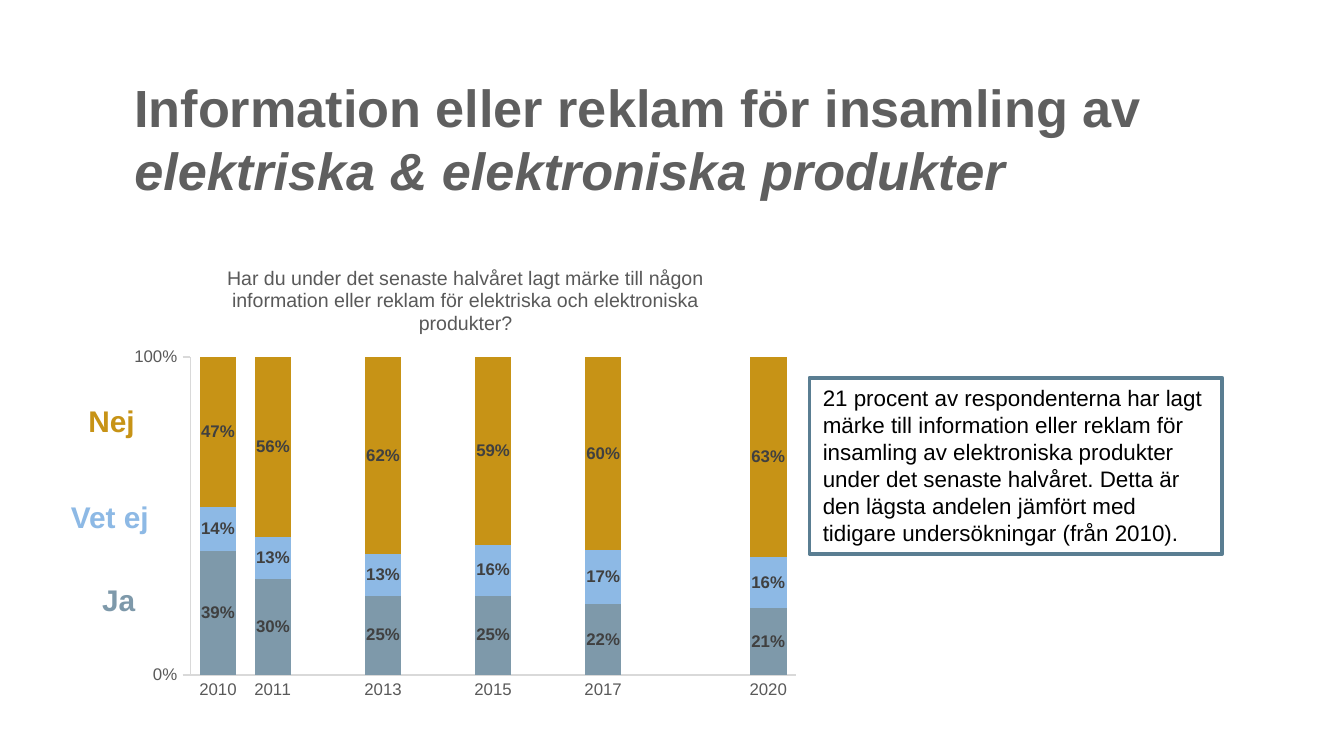
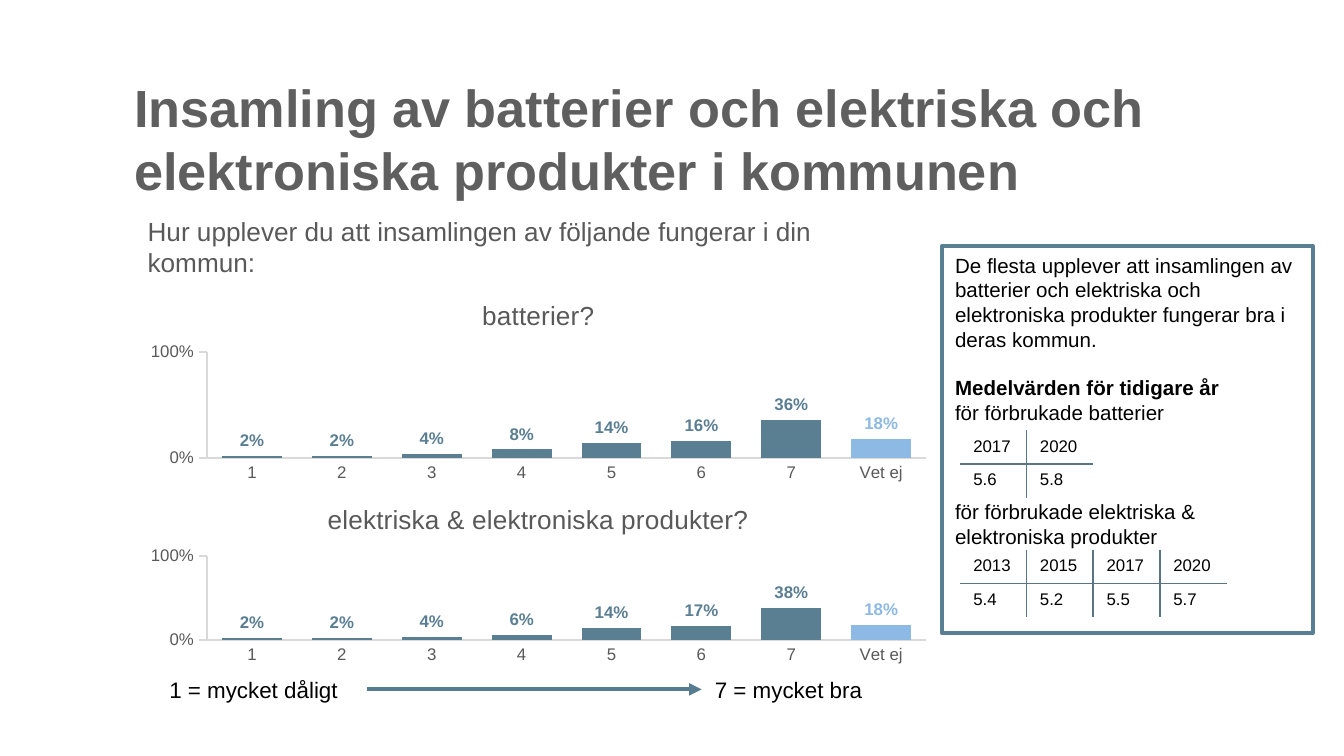
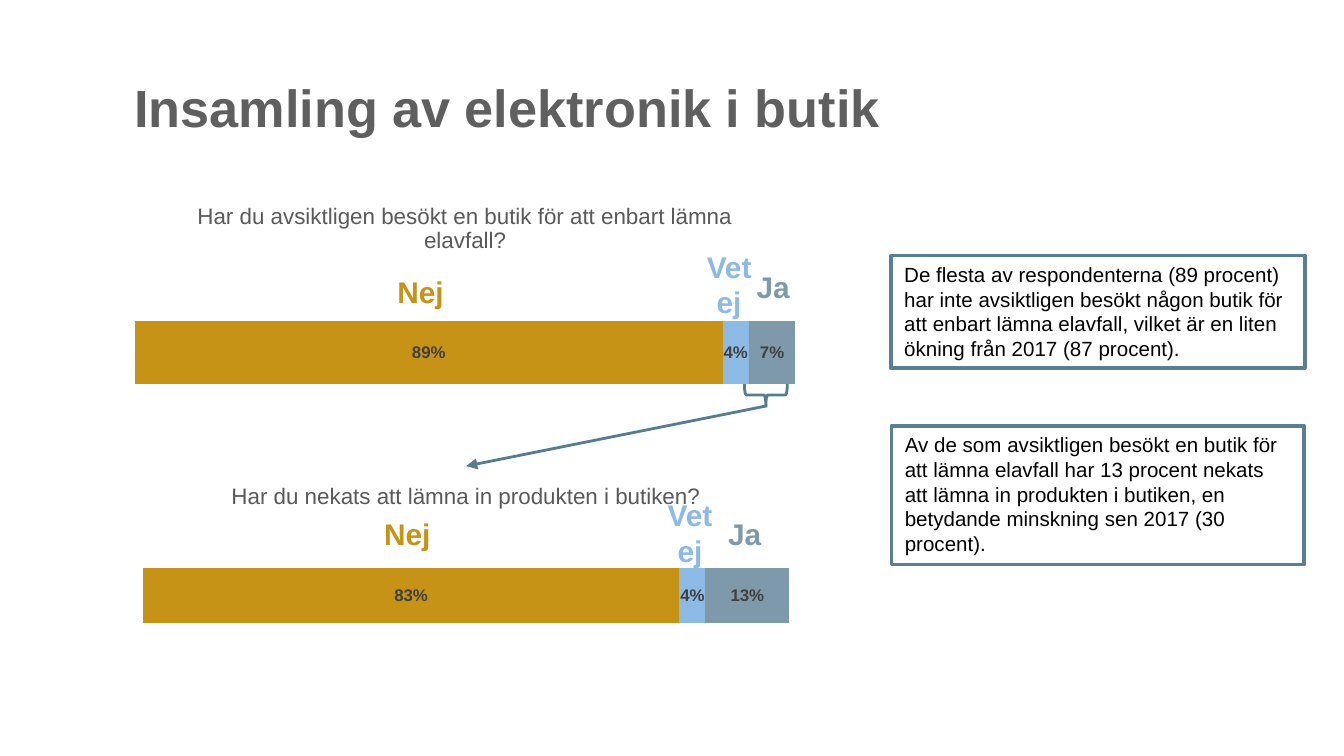
from pptx import Presentation
from pptx.chart.data import CategoryChartData
from pptx.dml.color import RGBColor
from pptx.enum.chart import XL_CHART_TYPE, XL_LABEL_POSITION, XL_TICK_MARK
from pptx.enum.shapes import MSO_CONNECTOR, MSO_SHAPE
from pptx.enum.text import MSO_ANCHOR, PP_ALIGN
from pptx.oxml import parse_xml
from pptx.oxml.ns import nsdecls
from pptx.util import Cm, Pt

STACK = XL_CHART_TYPE.COLUMN_STACKED_100
BARS = XL_CHART_TYPE.BAR_STACKED_100
COLS = XL_CHART_TYPE.COLUMN_CLUSTERED
ABOVE = XL_LABEL_POSITION.OUTSIDE_END
NONE, OUT = XL_TICK_MARK.NONE, XL_TICK_MARK.OUTSIDE
LINE = MSO_CONNECTOR.STRAIGHT
RECT, BRACE = MSO_SHAPE.RECTANGLE, MSO_SHAPE.LEFT_BRACE
LEFT, MID = PP_ALIGN.LEFT, PP_ALIGN.CENTER
TOP = MSO_ANCHOR.TOP

FONT = "Arial"
BLACK = RGBColor(0x00, 0x00, 0x00)
WHITE = RGBColor(0xFF, 0xFF, 0xFF)
HEAD = RGBColor(0x5F, 0x5F, 0x5F)
GREY = RGBColor(0x59, 0x59, 0x59)
DARK = RGBColor(0x40, 0x40, 0x40)
PALE = RGBColor(0xD9, 0xD9, 0xD9)
GOLD = RGBColor(0xC7, 0x93, 0x16)
SKY = RGBColor(0x8D, 0xB9, 0xE5)
SLATE = RGBColor(0x7E, 0x99, 0xAA)
TEAL = RGBColor(0x5A, 0x7E, 0x92)
STEEL = RGBColor(0x57, 0x7C, 0x90)
RULE = "587486"


def write(shape, paras, size, hue, bold=False, align=LEFT, wrap=True):
    frame = shape.text_frame
    frame.word_wrap = wrap
    frame.vertical_anchor = TOP
    for i, (gap, runs) in enumerate(paras):
        para = frame.add_paragraph() if i else frame.paragraphs[0]
        para.alignment = align
        para.space_before = Pt(gap)
        for text, style in runs:
            run = para.add_run()
            run.text = text
            run.font.name = FONT
            run.font.size = Pt(size)
            run.font.color.rgb = hue
            run.font.bold = bold or style == "b"
            run.font.italic = style == "i"


def plot(slide, kind, box, area, title, size, names, rows):
    data = CategoryChartData(number_format="0%")
    data.categories = names
    for i, (hue, vals) in enumerate(rows, 1):
        data.add_series(f"Series {i}", vals)
    chart = slide.shapes.add_chart(kind, *map(Cm, box), data).chart
    chart.font.name = FONT
    chart.font.size = Pt(10)
    chart.has_legend = False
    chart.has_title = True
    run = chart.chart_title.text_frame.paragraphs[0].add_run()
    run.text = title
    run.font.name = FONT
    run.font.size = Pt(size)
    run.font.bold = False
    run.font.color.rgb = GREY
    chart.chart_title.include_in_layout = False

    for axis, tick in ((chart.category_axis, NONE), (chart.value_axis, OUT)):
        axis.visible = kind != BARS
        axis.has_major_gridlines = False
        axis.major_tick_mark = tick
        axis.minor_tick_mark = NONE
        axis.tick_labels.font.name = FONT
        axis.tick_labels.font.size = Pt(9)
        axis.tick_labels.font.color.rgb = GREY
        axis.format.line.color.rgb = PALE
        axis.format.line.width = Pt(0.75)
    scale = chart.value_axis
    scale.minimum_scale, scale.maximum_scale, scale.major_unit = 0, 1, 1
    scale.tick_labels.number_format = "0%"
    scale.tick_labels.number_format_is_linked = False

    body = chart.plots[0]
    body.vary_by_categories = False
    body.gap_width = 182 if kind == BARS else 50
    if kind != COLS:
        body.overlap = 100
    for row, (hue, vals) in zip(body.series, rows):
        row.format.fill.solid()
        row.format.fill.fore_color.rgb = hue
        marks = row.data_labels
        marks.show_value = True
        marks.number_format = "0%"
        marks.number_format_is_linked = False
        fonts = [(marks.font, TEAL if kind == COLS else DARK)]
        if kind == COLS:
            marks.position = ABOVE
            last = row.points[len(vals) - 1]
            last.format.fill.solid()
            last.format.fill.fore_color.rgb = SKY
            fonts.append((last.data_label.font, SKY))
            last.data_label.position = ABOVE
        for font, tint in fonts:
            font.name = FONT
            font.size = Pt(9)
            font.bold = True
            font.color.rgb = tint

    zone = chart._chartSpace.chart.plotArea
    for old in zone.xpath("c:layout"):
        zone.remove(old)
    parts = "".join(f'<c:{k} val="{v}"/>' for k, v in zip("xywh", area))
    zone.insert(0, parse_xml(
        f'<c:layout {nsdecls("c")}><c:manualLayout><c:layoutTarget val="inner"/>'
        f'<c:xMode val="edge"/><c:yMode val="edge"/>{parts}'
        '</c:manualLayout></c:layout>'))


deck = Presentation()
deck.slide_width, deck.slide_height = Cm(25.4), Cm(14.29)

heads = [
    [("Information eller reklam för insamling av ", ""),
     ("elektriska & elektroniska produkter", "i")],
    [("Insamling av batterier och elektriska och elektroniska produkter "
      "i kommunen", "")],
    [("Insamling av elektronik i butik", "")],
]
slides = []
for head in heads:
    slide = deck.slides.add_slide(deck.slide_layouts[6])
    title = slide.shapes.add_textbox(Cm(2.29), Cm(1.3), Cm(20.4), Cm(3))
    write(title, [(0, head)], 28, HEAD, True)
    slides.append(slide)
advert, town, shop = slides

plot(advert, STACK, (2.3, 4.63, 13, 8.84), (0.1, 0.24, 0.88, 0.68),
     "Har du under det senaste halvåret lagt märke till någon information "
     "eller reklam för elektriska och elektroniska produkter?", 10.5,
     ["2010", "2011", "", "2013", "", "2015", "", "2017", "", "", "2020"],
     [(SLATE, [0.39, 0.3, None, 0.25, None, 0.25, None, 0.22, None, None, 0.21]),
      (SKY, [0.14, 0.13, None, 0.13, None, 0.16, None, 0.17, None, None, 0.16]),
      (GOLD, [0.47, 0.56, None, 0.62, None, 0.59, None, 0.6, None, None, 0.63])])

grades = [str(n) for n in range(1, 8)] + ["Vet ej"]
for top, high, area, title, vals in [
    (5.34, 3.86, (0.09, 0.34, 0.89, 0.52), "batterier?",
     [0.02, 0.02, 0.04, 0.08, 0.14, 0.16, 0.36, 0.18]),
    (9.2, 3.45, (0.09, 0.38, 0.89, 0.46), "elektriska & elektroniska produkter?",
     [0.02, 0.02, 0.04, 0.06, 0.14, 0.17, 0.38, 0.18]),
]:
    plot(town, COLS, (2.54, top, 15.27, high), area, title, 14, grades,
         [(TEAL, vals)])

for box, area, title, vals in [
    ((2.29, 3.51, 13, 4.9), (0.02, 0.3, 0.96, 0.69),
     "Har du avsiktligen besökt en butik för att enbart lämna elavfall?",
     [0.89, 0.04, 0.07]),
    ((2.31, 8.81, 13, 4.5), (0.03, 0.22, 0.94, 0.65),
     "Har du nekats att lämna in produkten i butiken?",
     [0.83, 0.04, 0.13]),
]:
    plot(shop, BARS, box, area, title, 12, ["1"],
         [(hue, [val]) for hue, val in zip((GOLD, SKY, SLATE), vals)])

for slide, box, size, paras in [
    (advert, (15.3, 7.14, 7.8, 3.33), 12, [
        (0, [("21 procent av respondenterna har lagt märke till information "
              "eller reklam för insamling av elektroniska produkter under det "
              "senaste halvåret. Detta är den lägsta andelen jämfört med "
              "tidigare undersökningar (från 2010).", "")])]),
    (town, (17.8, 4.65, 7.01, 7.32), 11, [
        (0, [("De flesta upplever att insamlingen av batterier och elektriska "
              "och elektroniska produkter fungerar bra i deras kommun.", "")]),
        (13, [("Medelvärden för tidigare år", "b")]),
        (0, [("för förbrukade batterier", "")]),
        (40, [("för förbrukade elektriska & elektroniska produkter", "")])]),
    (shop, (16.84, 4.83, 7.82, 2.13), 11, [
        (0, [("De flesta av respondenterna (89 procent) har inte avsiktligen "
              "besökt någon butik för att enbart lämna elavfall, vilket är en "
              "liten ökning från 2017 (87 procent).", "")])]),
    (shop, (16.85, 8.05, 7.8, 2.62), 11, [
        (0, [("Av de som avsiktligen besökt en butik för att lämna elavfall "
              "har 13 procent nekats att lämna in produkten i butiken, en "
              "betydande minskning sen 2017 (30 procent).", "")])]),
]:
    note = slide.shapes.add_shape(RECT, *map(Cm, box))
    note.shadow.inherit = False
    note.fill.solid()
    note.fill.fore_color.rgb = WHITE
    note.line.color.rgb = TEAL
    note.line.width = Pt(2)
    write(note, paras, size, BLACK)

for slide, text, hue, box in [
    (advert, "Nej", GOLD, (1.42, 7.49, 1.4, 0.94)),
    (advert, "Vet ej", SKY, (1.09, 9.3, 2, 0.94)),
    (advert, "Ja", SLATE, (1.68, 10.87, 1.14, 0.94)),
    (shop, "Ja", SLATE, (14.05, 4.95, 1.14, 0.94)),
    (shop, "Nej", GOLD, (7.26, 5.05, 1.4, 0.94)),
    (shop, "Vet ej", SKY, (13.03, 4.57, 1.5, 1.63)),
    (shop, "Ja", SLATE, (13.51, 9.63, 1.14, 0.94)),
    (shop, "Nej", GOLD, (7.01, 9.63, 1.4, 0.94)),
    (shop, "Vet ej", SKY, (12.29, 9.27, 1.5, 1.63)),
]:
    tall = box[3] > 1
    label = slide.shapes.add_textbox(*map(Cm, box))
    write(label, [(0, [(text, "")])], 16, hue, True, MID if tall else LEFT, tall)

for text, size, hue, box in [
    ("Hur upplever du att insamlingen av följande fungerar i din kommun:",
     14, GREY, (2.54, 3.94, 14.35, 1.45)),
    ("1 = mycket dåligt", 12, BLACK, (2.95, 12.65, 3.99, 0.76)),
    ("7 = mycket bra", 12, BLACK, (13.26, 12.65, 3.33, 0.76)),
]:
    write(town.shapes.add_textbox(*map(Cm, box)), [(0, [(text, "")])], size, hue)

for top, grid in [
    (8.13, [["2017", "2020"], ["5.6", "5.8"]]),
    (10.39, [["2013", "2015", "2017", "2020"], ["5.4", "5.2", "5.5", "5.7"]]),
]:
    count = len(grid[0])
    table = town.shapes.add_table(2, count, Cm(18.14), Cm(top),
                                  Cm(1.26 * count), Cm(1.26)).table
    table.first_row = table.horz_banding = False
    for r, line in enumerate(grid):
        for c, text in enumerate(line):
            cell = table.cell(r, c)
            props = cell._tc.get_or_add_tcPr()
            inner = {"L": c > 0, "R": c < count - 1, "T": r > 0, "B": r < 1}
            for side, drawn in inner.items():
                ink = (f'<a:solidFill><a:srgbClr val="{RULE}"/></a:solidFill>'
                       if drawn else "<a:noFill/>")
                props.append(parse_xml(
                    f'<a:ln{side} {nsdecls("a")} w="12700">{ink}</a:ln{side}>'))
            cell.fill.background()
            run = cell.text_frame.paragraphs[0].add_run()
            run.text = text
            run.font.name = FONT
            run.font.size = Pt(9)
            run.font.color.rgb = BLACK

brace = shop.shapes.add_shape(BRACE, Cm(14.27), Cm(7.06), Cm(0.41), Cm(0.81))
brace.rotation = 270
brace.shadow.inherit = False
brace.fill.background()
brace.line.color.rgb = STEEL
brace.line.width = Pt(1.5)

for slide, ends, width in [
    (town, (6.93, 13.03, 13.26, 13.03), 2.25),
    (shop, (14.5, 7.67, 8.81, 8.81), 1.5),
]:
    arrow = slide.shapes.add_connector(LINE, *map(Cm, ends))
    arrow.line.color.rgb = STEEL
    arrow.line.width = Pt(width)
    arrow.line._get_or_add_ln().append(
        parse_xml(f'<a:tailEnd {nsdecls("a")} type="triangle"/>'))
    arrow._element.spPr.append(parse_xml(f'<a:effectLst {nsdecls("a")}/>'))

deck.save("out.pptx")
